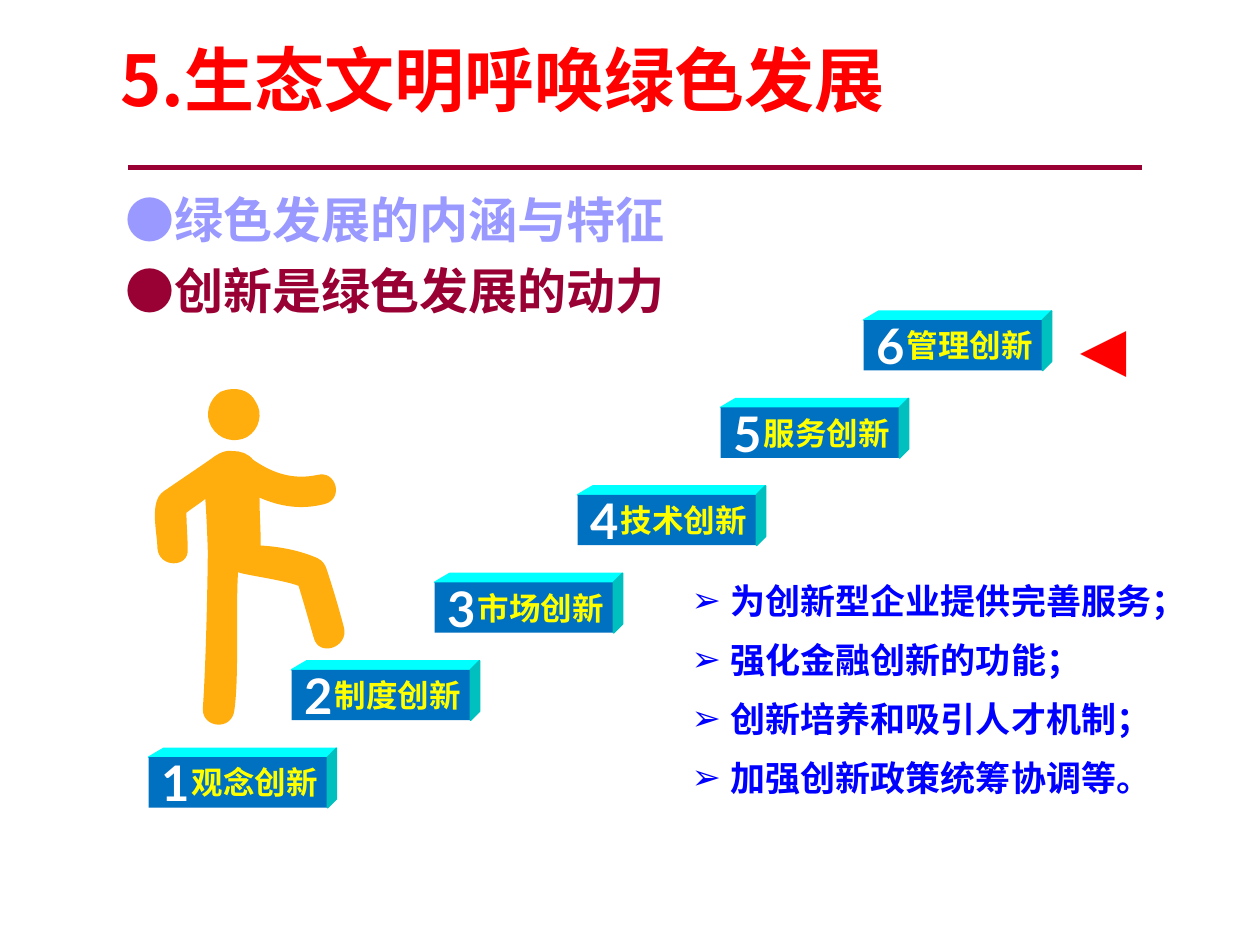
import pptx
import pptx.util
import pptx.dml.color
import pptx.enum.shapes
import pptx.enum.text
import pptx.oxml.ns
from lxml import etree

RGB = pptx.dml.color.RGBColor
RED = RGB(0xFF, 0x00, 0x00)
WINE = RGB(0x99, 0x00, 0x33)
LILAC = RGB(0x99, 0x99, 0xFF)
BLUE = RGB(0x00, 0x00, 0xFF)
STEEL = RGB(0x00, 0x70, 0xC0)
CYAN = RGB(0x00, 0xFF, 0xFF)
TEAL = RGB(0x00, 0xBF, 0xBF)
YELLOW = RGB(0xFF, 0xFF, 0x00)
WHITE = RGB(0xFF, 0xFF, 0xFF)
ORANGE = RGB(0xFF, 0xAE, 0x0D)
HAN = "Noto Sans CJK SC"

TITLE = "5.生态文明呼唤绿色发展"
HEADS = [("●绿色发展的内涵与特征", LILAC), ("●创新是绿色发展的动力", WINE)]
STEPS = ["观念创新", "制度创新", "市场创新", "技术创新", "服务创新", "管理创新"]
POINTS = ["为创新型企业提供完善服务；", "强化金融创新的功能；",
          "创新培养和吸引人才机制；", "加强创新政策统筹协调等。"]

# Staircase: first block, run and rise of a step, block size and depth
LEFT, BASE = 1.18, 6.01
RUN, RISE = 1.135, 0.694
WIDE, HIGH = 1.42, 0.4
DEPTH, SLANT = 0.07, 0.12

# Walker: box, then each outline as a start point and its curves
MAN = (1.23, 3.08, 1.5, 2.67)
BODY = [(1.85, 3.58), [
    (1.91, 3.58, 1.97, 3.6, 2.01, 3.65), (2.17, 3.76, 2.33, 3.81, 2.52, 3.77),
    (2.67, 3.73, 2.73, 3.96, 2.58, 4), (2.39, 4.05, 2.22, 4.02, 2.06, 3.95),
    (2.06, 4.07, 2.07, 4.2, 2.07, 4.33), (2.23, 4.34, 2.38, 4.37, 2.52, 4.43),
    (2.56, 4.45, 2.58, 4.48, 2.59, 4.51), (2.6, 4.52, 2.6, 4.53, 2.6, 4.54),
    (2.65, 4.69, 2.69, 4.83, 2.73, 4.98), (2.77, 5.14, 2.53, 5.22, 2.49, 5.06),
    (2.45, 4.92, 2.41, 4.78, 2.37, 4.65), (2.24, 4.6, 1.91, 4.56, 1.89, 4.54),
    (1.87, 4.84, 1.9, 5.37, 1.86, 5.64), (1.84, 5.8, 1.61, 5.78, 1.61, 5.63),
    (1.64, 5.19, 1.65, 4.47, 1.65, 4.38), (1.65, 4.36, 1.64, 4.08, 1.63, 3.96),
    (1.58, 4, 1.53, 4.03, 1.48, 4.07), (1.48, 4.16, 1.49, 4.26, 1.49, 4.36),
    (1.5, 4.51, 1.26, 4.51, 1.25, 4.35), (1.25, 4.23, 1.18, 3.98, 1.3, 3.9),
    (1.43, 3.81, 1.55, 3.73, 1.68, 3.64), (1.73, 3.6, 1.79, 3.57, 1.85, 3.58)]]
HEAD = [(1.83, 3.09), [
    (1.91, 3.08, 1.99, 3.11, 2.03, 3.19), (2.09, 3.28, 2.06, 3.41, 1.96, 3.47),
    (1.86, 3.52, 1.74, 3.49, 1.68, 3.39), (1.62, 3.29, 1.66, 3.17, 1.75, 3.11),
    (1.78, 3.1, 1.81, 3.09, 1.83, 3.09)]]

inch = pptx.util.Inches
qn = pptx.oxml.ns.qn
ALIGN = pptx.enum.text.PP_ALIGN
KIND = pptx.enum.shapes.MSO_SHAPE

deck = pptx.Presentation()
deck.slide_width, deck.slide_height = inch(10), inch(7.5)
slide = deck.slides.add_slide(deck.slide_layouts[6])
shapes = slide.shapes


def paint(shape, color, edge=None):
    shape.shadow.inherit = False
    shape.fill.solid()
    shape.fill.fore_color.rgb = color
    if edge:
        shape.line.color.rgb = edge
        shape.line.width = pptx.util.Pt(1)
    else:
        shape.line.fill.background()


def write(shape, lines, size, font, align=ALIGN.LEFT, wrap=True, inset=0.1,
          anchor=pptx.enum.text.MSO_ANCHOR.TOP, bullet=None, **form):
    """Fill a shape with (text, colour) lines; form holds paragraph values."""
    frame = shape.text_frame
    marks = {"word_wrap": wrap, "vertical_anchor": anchor,
             "margin_left": inch(inset), "margin_right": inch(inset),
             "margin_top": inch(0.05), "margin_bottom": inch(0.05)}
    for name, value in marks.items():
        setattr(frame, name, value)
    for num, (text, color) in enumerate(lines):
        para = frame.add_paragraph() if num else frame.paragraphs[0]
        for name, value in dict(form, alignment=align).items():
            if num or name != "space_before":
                setattr(para, name, value)
        if bullet:
            props = para._p.get_or_add_pPr()
            props.set("marL", str(inch(0.31)))
            props.set("indent", str(-inch(0.31)))
            etree.SubElement(props, qn("a:buFont"), typeface=font)
            etree.SubElement(props, qn("a:buChar"), char=bullet)
        run = para.add_run()
        run.text = text
        look = {"size": pptx.util.Pt(size), "name": font, "bold": True}
        for name, value in look.items():
            setattr(run.font, name, value)
        run.font.color.rgb = color
        latin = run._r.rPr.find(qn("a:latin"))
        latin.addnext(etree.Element(qn("a:ea"), typeface=HAN))


def label(box, lines, *args, **form):
    write(shapes.add_textbox(*map(inch, box)), lines, *args, **form)


def panel(box, color):
    shape = shapes.add_shape(KIND.RECTANGLE, *map(inch, box))
    paint(shape, color)
    return shape


def outline(points):
    spots = [(inch(x), inch(y)) for x, y in points]
    pen = shapes.build_freeform(*spots[0])
    pen.add_line_segments(spots[1:], close=True)
    return pen.convert_to_shape()


def curved(box, loops, color):
    """Draw closed outlines made of cubic curves."""
    left, top, wide, high = box
    right, foot = left + wide, top + high
    shape = outline([(left, top), (right, top), (right, foot), (left, foot)])
    track = shape._element.spPr.find(".//" + qn("a:path"))
    for node in list(track):
        track.remove(node)

    def add(tag, nums):
        node = etree.SubElement(track, qn(tag))
        for x, y in zip(nums[::2], nums[1::2]):
            etree.SubElement(node, qn("a:pt"), x=str(inch(x - left)),
                             y=str(inch(y - top)))

    for start, curves in loops:
        add("a:moveTo", start)
        for curve in curves:
            add("a:cubicBezTo", curve)
        add("a:close", ())
    paint(shape, color)


def block(num, text):
    x, y = LEFT + num * RUN, BASE - num * RISE
    right, back = x + WIDE, x + WIDE + DEPTH
    lid = [(x, y), (x + SLANT, y - DEPTH), (back, y - DEPTH), (right, y)]
    side = [(right, y + HIGH), (right, y), (back, y - DEPTH),
            (back, y + HIGH - DEPTH)]
    paint(outline(lid), CYAN, CYAN)
    front = panel((x, y, WIDE, HIGH), STEEL)
    write(front, [(text, YELLOW)], 18, "Arial", ALIGN.RIGHT, inset=0.08)
    paint(outline(side), TEAL, TEAL)
    label((x, y, 0.34, HIGH), [(str(num + 1), WHITE)], 28, "Lato",
          ALIGN.CENTER, anchor=pptx.enum.text.MSO_ANCHOR.MIDDLE)


rule = shapes.add_connector(pptx.enum.shapes.MSO_CONNECTOR.STRAIGHT,
                            *map(inch, (1.02, 1.33, 9.06, 1.33)))
rule.line.color.rgb = WINE
rule.line.width = pptx.util.Pt(3)
etree.SubElement(rule._element.spPr, qn("a:effectLst"))

label((0.9, 1.62, 6.98, 1.42), HEADS, 28, HAN, line_spacing=0.6,
      space_before=pptx.util.Pt(20.3))
for num, text in enumerate(STEPS):
    block(num, text)
curved(MAN, [BODY, HEAD], ORANGE)
label((8.36, 2.33, 0.8, 0.83), [("◄", RED)], 44, "Arial", wrap=False)
write(panel((5.39, 4.42, 4.61, 2.15), WHITE), [(text, BLUE) for text in POINTS],
      20, "Arial", ALIGN.JUSTIFY, bullet="➢", line_spacing=1.4)
label((0.86, 0.24, 8.75, 0.77), [(TITLE, RED)], 40, HAN)

deck.save("out.pptx")
